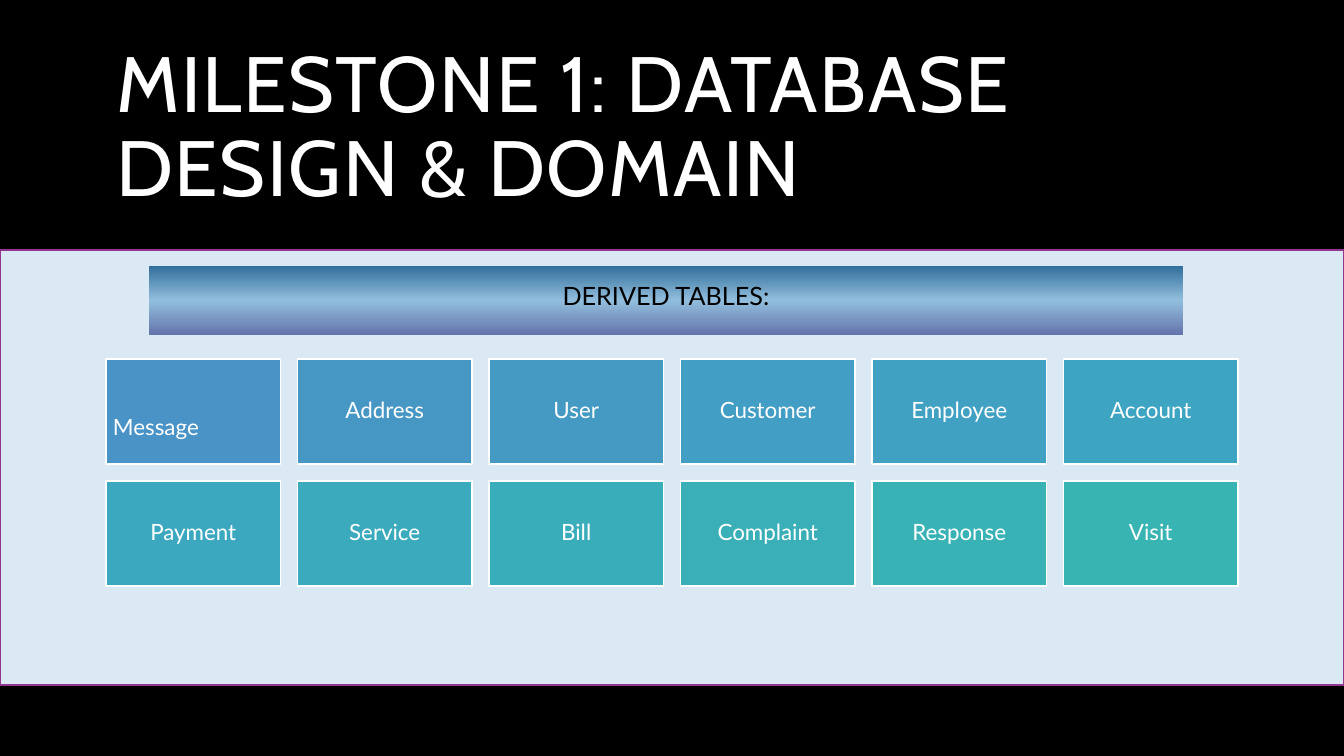
from copy import deepcopy
from dataclasses import dataclass

from pptx import Presentation
from pptx import util as u
from pptx.dml.color import RGBColor
from pptx.enum import shapes, text
from pptx.oxml.ns import qn

EMU_PER_PX = 914400 / 100.8


@dataclass(frozen=True)
class Theme:
    black: str = "000000"
    white: str = "FFFFFF"
    panel: str = "DBE9F4"
    panel_line: str = "92378C"
    banner: tuple = ("316F9B", "92BEDD", "6474AB")
    # First and last tile colour of each row
    tile_rows: tuple = (("4A93C6", "3DA5C2"), ("3CA8C0", "38B4B3"))
    title_font: str = "Cabin"
    body_font: str = "Lato"
    title_size: int = 56
    banner_size: int = 18
    tile_size: int = 16


THEME = Theme()
TABLES = (
    ("Message", "Address", "User", "Customer", "Employee", "Account"),
    ("Payment", "Service", "Bill", "Complaint", "Response", "Visit"),
)


def px(length):
    return u.Emu(round(length * EMU_PER_PX))


def rgb(color):
    return RGBColor.from_string(color)


def blend(first, last, share):
    return RGBColor(*(round(a + (b - a) * share) for a, b in zip(rgb(first), rgb(last))))


def add_rectangle(slide, box, line=None):
    shape = slide.shapes.add_shape(shapes.MSO_SHAPE.RECTANGLE, *map(px, box))
    shape.shadow.inherit = False
    if line:
        shape.line.color.rgb = rgb(line)
        shape.line.width = u.Pt(1)
    else:
        shape.line.fill.background()
    return shape


def write(shape, words, font_name, size, color, align):
    frame = shape.text_frame
    frame.word_wrap = True
    frame.auto_size = text.MSO_AUTO_SIZE.NONE
    frame.vertical_anchor = text.MSO_ANCHOR.MIDDLE
    frame.text = words
    paragraph = frame.paragraphs[0]
    paragraph.alignment = align
    paragraph.line_spacing = 0.9
    font = paragraph.font
    font.name, font.size, font.color.rgb = font_name, u.Pt(size), rgb(color)
    return frame


def place_title(slide, box):
    title = slide.shapes.title
    title.left, title.top, title.width, title.height = map(px, box)
    frame = write(title, "MILESTONE 1: DATABASE DESIGN & DOMAIN", THEME.title_font,
                  THEME.title_size, THEME.white, text.PP_ALIGN.LEFT)
    paragraph = frame.paragraphs[0]
    paragraph.space_after = u.Pt(6)
    # Letter spacing in hundredths of a point
    paragraph.runs[0].font._element.set("spc", "120")


def place_panel(slide, box):
    panel = add_rectangle(slide, box, THEME.panel_line)
    panel.fill.solid()
    panel.fill.fore_color.rgb = rgb(THEME.panel)


def place_banner(slide, box):
    banner = add_rectangle(slide, box)
    banner.fill.gradient()
    banner.fill.gradient_angle = 270
    # The default gradient has two stops; a third is added
    stop_list = banner._element.spPr.find(".//" + qn("a:gsLst"))
    stop_list.append(deepcopy(stop_list[-1]))
    for index, (stop, color) in enumerate(zip(banner.fill.gradient_stops, THEME.banner)):
        stop.position = index / 2
        stop.color.rgb = rgb(color)
    frame = write(banner, "DERIVED TABLES:", THEME.body_font, THEME.banner_size,
                  THEME.black, text.PP_ALIGN.CENTER)
    frame.margin_bottom = px(12)


def place_tiles(slide, box, gap=17):
    left, top, width, height = box
    columns, rows = len(TABLES[0]), len(TABLES)
    tile_width = (width - gap * (columns - 1)) / columns
    tile_height = (height - gap * (rows - 1)) / rows
    for row, names in enumerate(TABLES):
        for column, name in enumerate(names):
            tile = add_rectangle(slide, (left + column * (tile_width + gap),
                                         top + row * (tile_height + gap),
                                         tile_width, tile_height), THEME.white)
            tile.fill.solid()
            tile.fill.fore_color.rgb = blend(*THEME.tile_rows[row], column / (columns - 1))
            # The first tile's label sits left and low
            is_first = row == column == 0
            align = text.PP_ALIGN.LEFT if is_first else text.PP_ALIGN.CENTER
            frame = write(tile, name, THEME.body_font, THEME.tile_size, THEME.white, align)
            frame.margin_left = frame.margin_right = frame.margin_bottom = px(7)
            frame.margin_top = px(41 if is_first else 7)


def main():
    presentation = Presentation()
    presentation.slide_width, presentation.slide_height = px(1344), px(756)
    slide = presentation.slides.add_slide(presentation.slide_layouts[5])  # Title Only
    slide.background.fill.solid()
    slide.background.fill.fore_color.rgb = rgb(THEME.black)

    place_title(slide, (106, 35, 1132, 188))
    place_panel(slide, (0, 250, 1344, 435))
    place_banner(slide, (149, 266, 1034, 69))
    place_tiles(slide, (106, 359, 1132, 227))
    presentation.save("out.pptx")


if __name__ == "__main__":
    main()
